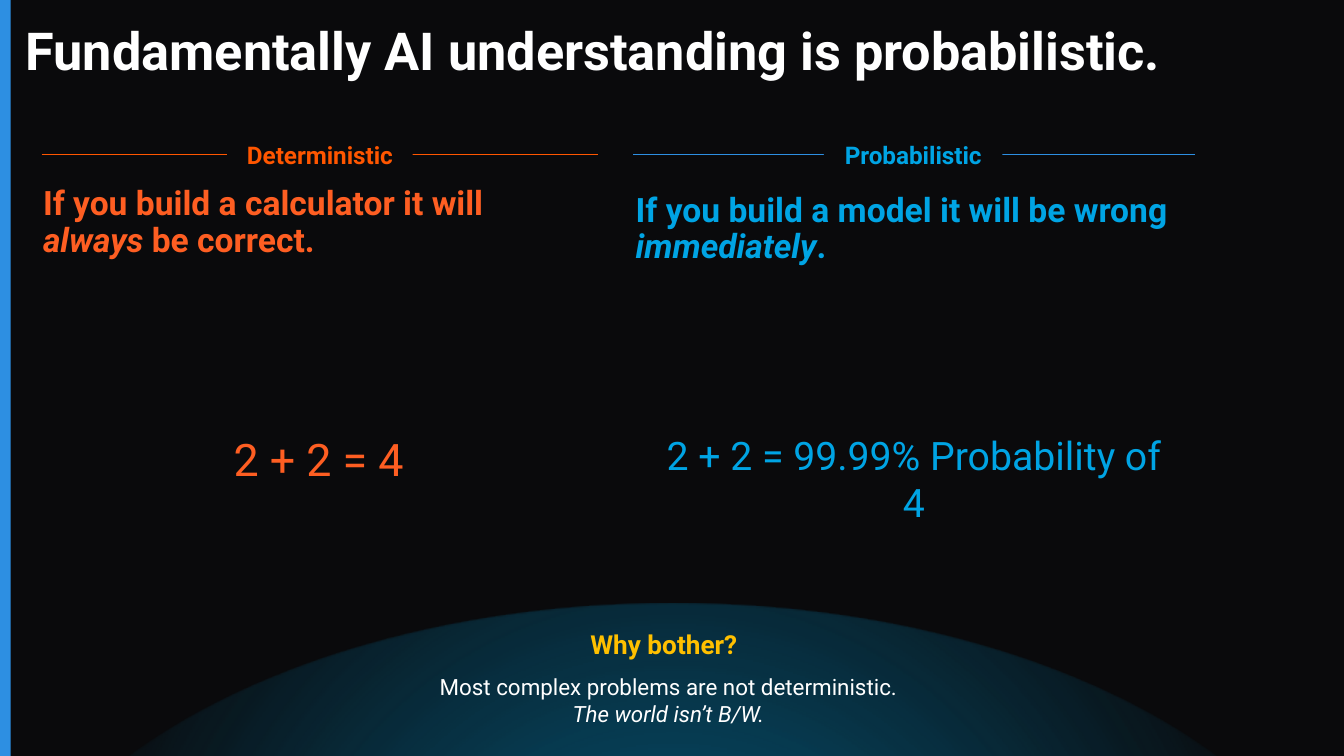
from pptx import Presentation
from pptx.util import Inches, Pt
from pptx.dml.color import RGBColor as RGB
from pptx.enum.shapes import MSO_SHAPE as Geo, MSO_CONNECTOR as Con
from pptx.enum.text import PP_ALIGN as Al, MSO_ANCHOR as Anc, MSO_AUTO_SIZE as Fit
from pptx.oxml import parse_xml
from pptx.oxml.ns import qn
from lxml import etree

HUES = {"night": "0A0A0C", "bar": "2D8FE2", "white": "FFFFFF", "flame": "FE5E22",
        "orange": "FF5600", "sky": "00A4E4", "gold": "FFC000"}
WIDTH = 10
HEIGHT = WIDTH * 9 / 16
SLIM = (0.07, 0.04, 0.07, 0.04)
WIDE = (0.1, 0.1, 0.1, 0.1)

TITLE = "Fundamentally AI understanding is probabilistic."
SIDES = [
    {"head": "Deterministic", "tag": (1.69, 1.06, 1.38, 0.19), "pad": (0.05, 0.1, 0.05, 0.1),
     "rule": (0.31, 4.45), "line": "orange", "label": "orange", "hue": "flame",
     "claim": [("If you build a calculator it will ", False), ("always", True), (" be correct.", False)],
     "spot": (0.25, 1.35, 4.18, 1.85),
     "sum": "2 + 2 = 4", "place": (0.31, 3.11, 4.12, 0.61), "size": 24},
    {"head": "Probabilistic", "tag": (6.13, 1.06, 1.33, 0.19), "pad": WIDE,
     "rule": (4.71, 8.89), "line": "bar", "label": "sky", "hue": "sky",
     "claim": [("If you build a model it will be wrong ", False), ("immediately", True), (".", False)],
     "spot": (4.66, 1.4, 4.18, 1.85),
     "sum": "2 + 2 = 99.99% Probability of 4", "place": (4.76, 3.11, 4.08, 0.56), "size": 21},
]
RULE_Y = 1.15
WHY = "Why bother?"
NOTE = [[("Most complex problems are not deterministic.", False)],
        [("The world isn’t B/W.", True)]]
GLOW = [(0, 44), (16, 44), (80, 0), (100, 0)]


def color(key):
    return RGB.from_string(HUES[key])


def box(at):
    return [Inches(v) for v in at]


def write(shape, paras, hue, size, bold=False, align=Al.CENTER, anchor=Anc.TOP, pad=WIDE, gap=None):
    frame = shape.text_frame
    form = {"word_wrap": True, "auto_size": Fit.NONE, "vertical_anchor": anchor}
    form.update(zip(("margin_left", "margin_top", "margin_right", "margin_bottom"), box(pad)))
    for key, val in form.items():
        setattr(frame, key, val)
    for i, runs in enumerate(paras):
        para = frame.add_paragraph() if i else frame.paragraphs[0]
        para.alignment = align
        para.space_before = Pt(0)
        if gap:
            para.line_spacing = gap
        for text, slant in runs:
            run = para.add_run()
            run.text = text
            look = {"name": "Roboto", "size": Pt(size), "bold": bold, "italic": slant}
            for key, val in look.items():
                setattr(run.font, key, val)
            run.font.color.rgb = color(hue)


def block(at, geo, hue):
    shape = slide.shapes.add_shape(geo, *box(at))
    shape.shadow.inherit = False
    shape.fill.solid()
    shape.fill.fore_color.rgb = color(hue)
    shape.line.fill.background()
    return shape


def label(at, paras, hue, size, **form):
    write(slide.shapes.add_textbox(*box(at)), paras, hue, size, **form)


def rule(ends, hue):
    left, right = ends
    line = slide.shapes.add_connector(Con.STRAIGHT, *box((left, RULE_Y, right, RULE_Y)))
    line.line.color.rgb = color(hue)
    line.line.width = Pt(0.75)
    etree.SubElement(line._element.spPr, qn("a:effectLst"))


def glow(shape, hue):
    stops = "".join(
        f'<a:gs pos="{pos * 1000}"><a:srgbClr val="{HUES[hue]}">'
        f'<a:alpha val="{alpha * 1000}"/></a:srgbClr></a:gs>' for pos, alpha in GLOW)
    grad = parse_xml(
        '<a:gradFill xmlns:a="http://schemas.openxmlformats.org/drawingml/2006/main" rotWithShape="1">'
        f'<a:gsLst>{stops}</a:gsLst><a:path path="circle">'
        '<a:fillToRect l="50000" t="50000" r="50000" b="50000"/></a:path></a:gradFill>')
    props = shape._element.spPr
    props.replace(props.find(qn("a:solidFill")), grad)


deck = Presentation()
deck.slide_width, deck.slide_height = box((WIDTH, HEIGHT))
slide = deck.slides.add_slide(deck.slide_layouts[5])
back = slide.background.fill
back.solid()
back.fore_color.rgb = color("night")

block((0, 0, 0.08, HEIGHT), Geo.RECTANGLE, "bar")
title = slide.shapes.title
title.left, title.top, title.width, title.height = box((0.12, 0.07, 9.14, 0.65))
write(title, [[(TITLE, False)]], "white", 28, bold=True, align=Al.LEFT,
      anchor=Anc.MIDDLE, pad=SLIM, gap=0.9)

for side in SIDES:
    label(side["spot"], [side["claim"]], side["hue"], 18, bold=True, align=Al.LEFT, pad=SLIM, gap=0.9)
    rule(side["rule"], side["line"])
    write(block(side["tag"], Geo.RECTANGLE, "night"), [[(side["head"], False)]],
          side["label"], 13, bold=True, anchor=Anc.MIDDLE, pad=side["pad"])
    label(side["place"], [[(side["sum"], False)]], side["hue"], side["size"])

glow(block((-0.14, 4.49, 10.29, 5.97), Geo.OVAL, "sky"), "sky")
label((2.69, 4.91, 4.57, 0.56), NOTE, "white", 12)
label((2.72, 4.64, 4.44, 0.3), [[(WHY, False)]], "gold", 14, bold=True, anchor=Anc.MIDDLE)

deck.save("out.pptx")
